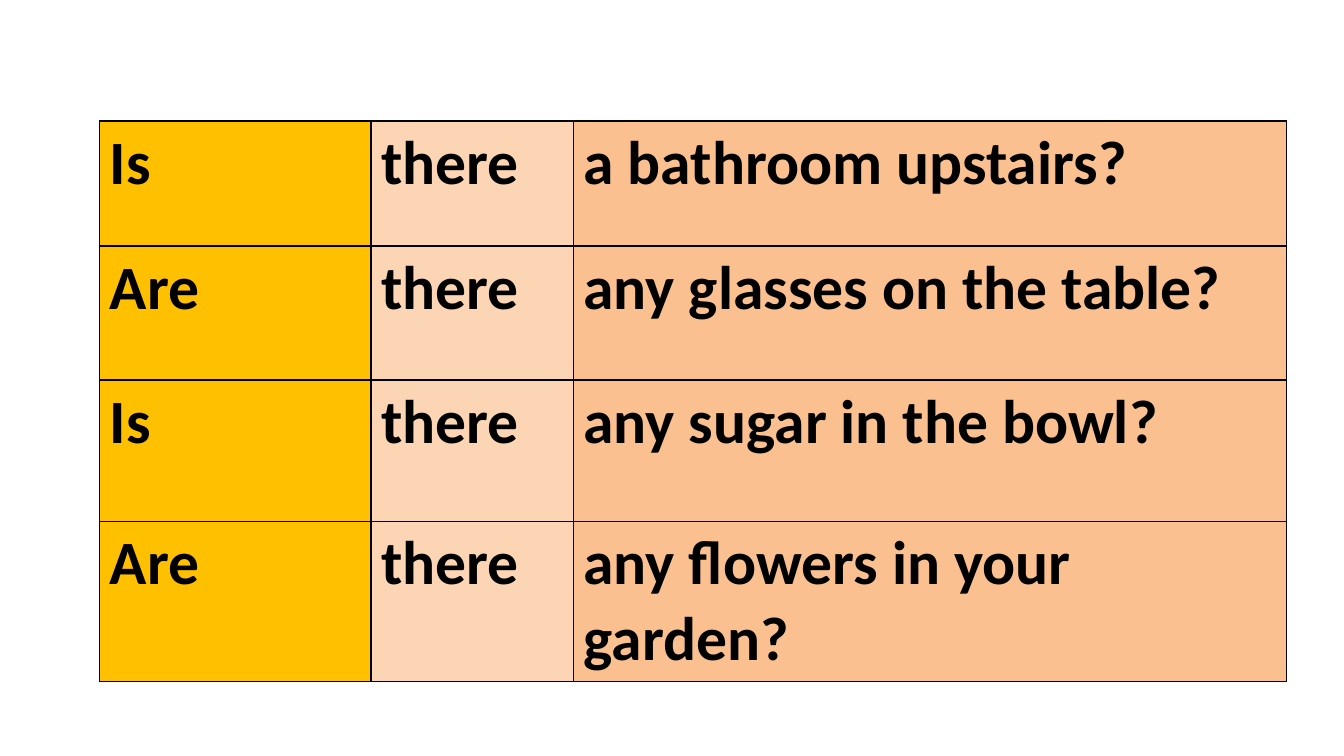
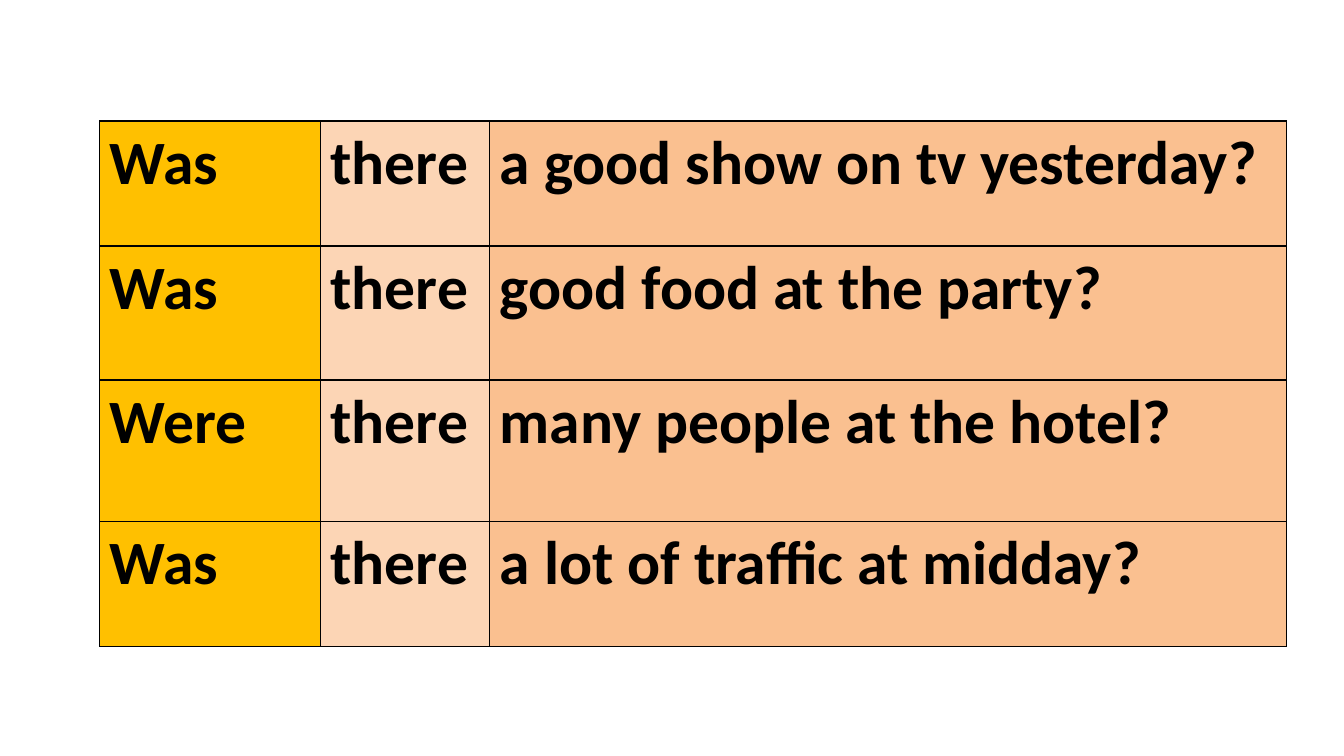
from dataclasses import dataclass

from lxml import etree
from pptx import Presentation
from pptx.dml.color import RGBColor
from pptx.oxml import ns
from pptx.slide import Slide
from pptx.table import _Cell
from pptx.util import Pt


@dataclass(frozen=True)
class Theme:
    font: str = "Calibri"
    size: float = 44
    ink: str = "000000"
    border: float = 1
    column_fills: tuple[str, ...] = ("FFC000", "FCD5B5", "FAC090")


@dataclass(frozen=True)
class QuestionTable:
    column_widths: tuple[float, ...]
    questions: tuple[tuple[str, str], ...]


THEME = Theme()
LEFT, TOP = 71.3, 86.4
ROW_HEIGHTS = (89.3, 95.8, 100.8, 89.3)
TABLES = (
    QuestionTable((193.7, 144.7, 509), (
        ("Is", "a bathroom upstairs?"),
        ("Are", "any glasses on the table?"),
        ("Is", "any sugar in the bowl?"),
        ("Are", "any flowers in your garden?"),
    )),
    QuestionTable((157.7, 120.8, 568.9), (
        ("Was", "a good show on tv yesterday?"),
        ("Was", "good food at the party?"),
        ("Were", "many people at the hotel?"),
        ("Was", "a lot of traffic at midday?"),
    )),
)


def write(cell: _Cell, words: str, *, size: float = THEME.size,
          color: str = THEME.ink, bold: bool = True) -> None:
    """Put formatted text into a cell."""
    run = cell.text_frame.paragraphs[0].add_run()
    run.text = words
    run.font.name = THEME.font
    run.font.size = Pt(size)
    run.font.bold = bold
    run.font.color.rgb = RGBColor.from_string(color)


def outline(cell: _Cell) -> None:
    """Draw a thin line on all four sides of a cell."""
    properties = cell._tc.get_or_add_tcPr()
    for position, side in enumerate(("lnL", "lnR", "lnT", "lnB")):
        line = etree.Element(ns.qn(f"a:{side}"), w=str(Pt(THEME.border)))
        fill = etree.SubElement(line, ns.qn("a:solidFill"))
        etree.SubElement(fill, ns.qn("a:srgbClr"), val=THEME.ink)
        properties.insert(position, line)


def draw_questions(slide: Slide, content: QuestionTable) -> None:
    """Draw one table of verb, 'there' and the rest of each question."""
    grid = slide.shapes.add_table(
        len(content.questions), len(content.column_widths), Pt(LEFT), Pt(TOP),
        Pt(sum(content.column_widths)), Pt(sum(ROW_HEIGHTS))).table
    grid.first_row = grid.horz_banding = False
    for column, width in zip(grid.columns, content.column_widths):
        column.width = Pt(width)
    for row, height, (verb, ending) in zip(grid.rows, ROW_HEIGHTS, content.questions):
        row.height = Pt(height)
        for cell, words, color in zip(row.cells, (verb, "there", ending), THEME.column_fills):
            write(cell, words)
            cell.fill.solid()
            cell.fill.fore_color.rgb = RGBColor.from_string(color)
            outline(cell)


def main() -> None:
    """Build and save the presentation."""
    deck = Presentation()
    deck.slide_width, deck.slide_height = Pt(960), Pt(540)
    blank = deck.slide_layouts.get_by_name("Blank")
    for content in TABLES:
        draw_questions(deck.slides.add_slide(blank), content)
    deck.save("out.pptx")


if __name__ == "__main__":
    main()
